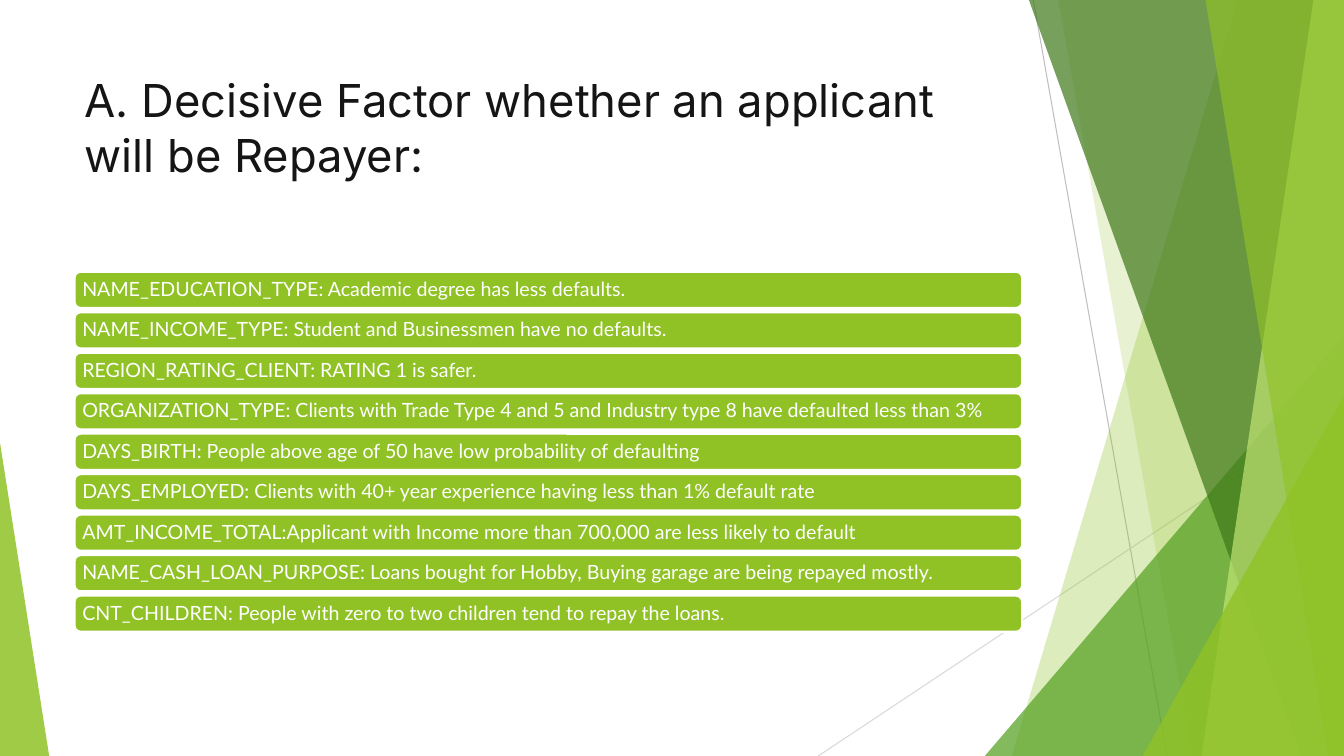
"""Builds the slide on the factors that mark an applicant as a repayer."""
from lxml.etree import SubElement
from pptx import Presentation
from pptx.dml.color import RGBColor
from pptx.enum.shapes import MSO_CONNECTOR, MSO_SHAPE
from pptx.enum.text import MSO_ANCHOR, MSO_AUTO_SIZE, PP_ALIGN
from pptx.oxml.ns import qn
from pptx.util import Cm, Pt

WIDTH, HEIGHT = 33.87, 19.05
GREEN = "90C226"


def paint(fmt, colour, opacity=100):
    fmt.solid()
    fmt.fore_color.rgb = RGBColor.from_string(colour)
    if opacity < 100:
        clr = fmt._xPr.find(qn("a:solidFill"))[0]
        SubElement(clr, qn("a:alpha")).set("val", str(opacity * 1000))


def write(tf, text, font, size, colour):
    tf.word_wrap = True
    tf.auto_size = MSO_AUTO_SIZE.NONE
    p = tf.paragraphs[0]
    p.alignment = PP_ALIGN.LEFT
    r = p.add_run()
    r.text = text
    r.font.name = font
    r.font.size = Pt(size)
    paint(r.font.fill, colour)
    return p


prs = Presentation()
prs.slide_width, prs.slide_height = Cm(WIDTH), Cm(HEIGHT)
s = prs.slides.add_slide(prs.slide_layouts[5])

rays = [
    (26.04, 0, 29.41, HEIGHT, "BFBFBF"),
    (WIDTH, 10.24, 20.62, HEIGHT, "D9D9D9"),
]
for *ends, colour in rays:
    line = s.shapes.add_connector(MSO_CONNECTOR.STRAIGHT, *[Cm(v) for v in ends])
    line.line.width = Pt(0.75)
    paint(line.line.fill, colour)
    SubElement(line._element.spPr, qn("a:effectLst"))

facets = [
    ("band", (31.19, 25.5), GREEN, 30),
    ("band", (26.67, 30.05), GREEN, 20),
    ("triangle", (24.82, 8.46, 9.05, 1), "54A021", 72),
    ("band", (25.93, 32.79), "3F7819", 70),
    ("band", (33.1, 30.28), "C0E474", 70),
    ("band", (30.38, 33.48), GREEN, 65),
    ("triangle", (28.8, 9.98, 5.07, 1), GREEN, 80),
    ("triangle", (0, 11.15, 1.24, 0), GREEN, 85),
]
for kind, geometry, colour, opacity in facets:
    if kind == "band":
        top_x, bottom_x = geometry
        outline = s.shapes.build_freeform(Cm(top_x), 0)
        corners = [(WIDTH, 0), (WIDTH, HEIGHT), (bottom_x, HEIGHT)]
        outline.add_line_segments([(Cm(x), Cm(y)) for x, y in corners])
        sp = outline.convert_to_shape()
    else:
        left, top, width, peak = geometry
        sp = s.shapes.add_shape(MSO_SHAPE.ISOSCELES_TRIANGLE, Cm(left), Cm(top),
                                Cm(width), Cm(HEIGHT - top))
        sp.adjustments[0] = peak
    paint(sp.fill, colour, opacity)
    sp.line.fill.background()
    sp.shadow.inherit = False

title = s.shapes.title
title.left, title.top, title.width, title.height = Cm(1.88), Cm(1.7), Cm(23.88), Cm(3.66)
title.text_frame.vertical_anchor = MSO_ANCHOR.TOP
write(title.text_frame, "A. Decisive Factor whether an applicant will be Repayer:",
      "Inter", 32.4, "151515")

factors = [
    "NAME_EDUCATION_TYPE: Academic degree has less defaults.",
    "NAME_INCOME_TYPE: Student and Businessmen have no defaults.",
    "REGION_RATING_CLIENT: RATING 1 is safer.",
    "ORGANIZATION_TYPE: Clients with Trade Type 4 and 5 and Industry type 8 "
    "have defaulted less than 3%",
    "DAYS_BIRTH: People above age of 50 have low probability of defaulting",
    "DAYS_EMPLOYED: Clients with 40+ year experience having less than 1% default rate",
    "AMT_INCOME_TOTAL:Applicant with Income more than 700,000 are less likely to default",
    "NAME_CASH_LOAN_PURPOSE: Loans bought for Hobby, Buying garage are being repayed mostly.",
    "CNT_CHILDREN: People with zero to two children tend to repay the loans.",
]
for i, factor in enumerate(factors):
    bar = s.shapes.add_shape(MSO_SHAPE.ROUNDED_RECTANGLE, Cm(1.88), Cm(6.85 + 1.02 * i),
                             Cm(23.88), Cm(0.91))
    paint(bar.fill, GREEN)
    paint(bar.line.fill, "FFFFFF")
    bar.line.width = Pt(1.5)
    bar.shadow.inherit = False
    tf = bar.text_frame
    tf.margin_left = tf.margin_right = tf.margin_top = tf.margin_bottom = Cm(0.15)
    tf.vertical_anchor = MSO_ANCHOR.MIDDLE
    p = write(tf, factor, "Lato", 14, "FFFFFF")
    p.line_spacing = 0.9

prs.save("out.pptx")
